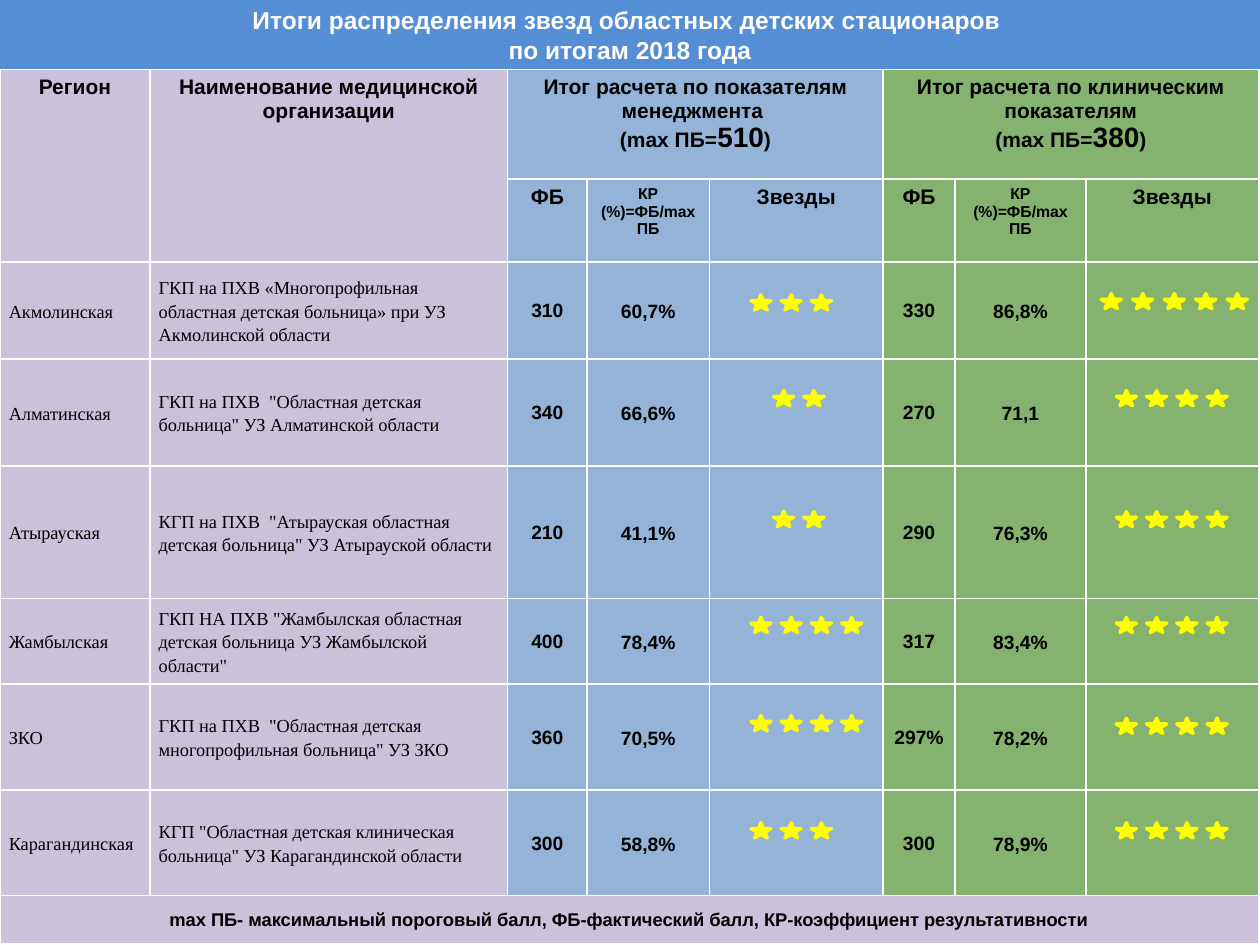
from lxml import etree
from pptx import Presentation
from pptx.dml.color import RGBColor
from pptx.enum.shapes import MSO_SHAPE
from pptx.enum.text import MSO_ANCHOR, PP_ALIGN
from pptx.oxml.ns import qn
from pptx.util import Inches, Pt

STAR = MSO_SHAPE.STAR_5_POINT
LEFT, MID = PP_ALIGN.LEFT, PP_ALIGN.CENTER
TOP, CENTER = MSO_ANCHOR.TOP, MSO_ANCHOR.MIDDLE

COLORS = {
    "title": "558ED5", "lilac": "CCC1DA", "blue": "95B3D7", "green": "85B26E",
    "star": "FFFF00", "white": "FFFFFF", "black": "000000",
}
SANS, SERIF = "Arial", "Times New Roman"

# Cell insets: left, top, right, bottom
WIDE = (0.1, 0.05, 0.1, 0.05)
SIDE = (0.07, 0, 0.07, 0)
THIN = (0.01, 0.01, 0.01, 0)

COLS = [1.19, 2.84, 0.63, 0.97, 1.38, 0.57, 1.04, 1.37]
ROWS = [0.87, 0.66, 0.77, 0.85, 1.05, 0.68, 0.84, 0.84, 0.38]
TINTS = ["lilac"] * 2 + ["blue"] * 3 + ["green"] * 3

# Region, hospital, then score and ratio for management and for clinic
DATA = [
    ("Акмолинская", "ГКП на ПХВ «Многопрофильная областная детская больница» "
     "при УЗ Акмолинской области", "310", "60,7%", "330", "86,8%"),
    ("Алматинская", 'ГКП на ПХВ  "Областная детская больница" УЗ Алматинской области',
     "340", "66,6%", "270", "71,1"),
    ("Атырауская", 'КГП на ПХВ  "Атырауская областная детская больница" '
     "УЗ Атырауской области", "210", "41,1%", "290", "76,3%"),
    ("Жамбылская", 'ГКП НА ПХВ "Жамбылская областная детская больница '
     'УЗ Жамбылской области"', "400", "78,4%", "317", "83,4%"),
    ("ЗКО", 'ГКП на ПХВ  "Областная детская многопрофильная больница" УЗ ЗКО',
     "360", "70,5%", "297%", "78,2%"),
    ("Карагандинская", 'КГП "Областная детская клиническая больница" '
     "УЗ Карагандинской области", "300", "58,8%", "300", "78,9%"),
]

# Star rows: left, top, count
RATINGS = [
    (5.96, 2.34, 3), (8.74, 2.33, 5),
    (6.14, 3.1, 2), (8.86, 3.1, 4),
    (6.14, 4.06, 2), (8.86, 4.06, 4),
    (5.96, 4.9, 4), (8.86, 4.9, 4),
    (5.96, 5.68, 4), (8.86, 5.7, 4),
    (5.96, 6.53, 3), (8.86, 6.53, 4),
]


def tone(name):
    return RGBColor.from_string(COLORS[name])


class Deck:
    """Holds the presentation, the current slide and its style."""

    def __init__(self):
        self.prs = Presentation()
        self.prs.slide_width, self.prs.slide_height = Inches(10), Inches(7.5)
        self.slide = self.prs.slides.add_slide(self.prs.slide_layouts[5])

    def run(self, para, text, size, font=SANS, bold=True, color="black"):
        run = para.add_run()
        run.text = text
        run.font.size, run.font.name, run.font.bold = Pt(size), font, bold
        run.font.color.rgb = tone(color)

    def title(self, lines, size):
        box = self.slide.shapes.title
        box.left, box.top, box.width, box.height = map(Inches, (0, 0, 10, 0.55))
        box.fill.solid()
        box.fill.fore_color.rgb = tone("title")
        box.text_frame.vertical_anchor = CENTER
        para = box.text_frame.paragraphs[0]
        para.alignment = MID
        for i, line in enumerate(lines):
            if i:
                para.add_line_break()
            self.run(para, line, size, color="white")

    def table(self, top):
        frame = self.slide.shapes.add_table(
            len(ROWS), len(COLS), 0, Inches(top), Inches(10), Inches(sum(ROWS)))
        grid = frame.table
        grid.horz_banding = False
        for col, width in zip(grid.columns, COLS):
            col.width = Inches(width)
        for row, height in zip(grid.rows, ROWS):
            row.height = Inches(height)
            for cell, tint in zip(row.cells, TINTS):
                self.edge(cell)
                cell.fill.solid()
                cell.fill.fore_color.rgb = tone(tint)
        return grid

    def edge(self, cell):
        """Draw a thin white border on all four sides."""
        props = cell._tc.get_or_add_tcPr()
        for side in ("lnL", "lnR", "lnT", "lnB"):
            line = etree.SubElement(props, qn("a:" + side), w=str(Pt(1)))
            fill = etree.SubElement(line, qn("a:solidFill"))
            etree.SubElement(fill, qn("a:srgbClr"), val=COLORS["white"])

    def cell(self, cell, paras, align=MID, anchor=TOP, inset=WIDE, space=None, **style):
        """Fill a cell; each paragraph is a list of (text, size) runs."""
        cell.vertical_anchor = anchor
        (cell.margin_left, cell.margin_top,
         cell.margin_right, cell.margin_bottom) = map(Inches, inset)
        frame = cell.text_frame
        for i, runs in enumerate(paras):
            para = frame.add_paragraph() if i else frame.paragraphs[0]
            para.alignment = align
            if space:
                para.line_spacing = space
            for text, size in runs:
                self.run(para, text, size, **style)

    def stars(self, left, top, count):
        group = self.slide.shapes.add_group_shape()
        step = 0.25 if count == 5 else 0.24
        for i in range(count):
            star = group.shapes.add_shape(
                STAR, Inches(left + i * step), Inches(top), Inches(0.16), Inches(0.12))
            star.shadow.inherit = False
            star.fill.solid()
            star.fill.fore_color.rgb = tone("star")
            star.line.color.rgb = tone("star")
            star.line.width = Pt(2)


def head(deck, grid):
    for col, text in enumerate(("Регион", "Наименование медицинской организации")):
        grid.cell(0, col).merge(grid.cell(1, col))
        deck.cell(grid.cell(0, col), [[(text, 12)]])
    parts = [(2, "Итог расчета по показателям менеджмента ", "510"),
             (5, "Итог расчета по клиническим показателям", "380")]
    for col, text, top in parts:
        grid.cell(0, col).merge(grid.cell(0, col + 2))
        deck.cell(grid.cell(0, col),
                  [[(text, 12)], [("(mах ПБ=", 12), (top, 16), (")", 12)]])
        names = [("ФБ", 12), ("КР (%)=ФБ/max ПБ", 9), ("Звезды", 12)]
        for i, name in enumerate(names):
            deck.cell(grid.cell(1, col + i), [[name]])


def body(deck, grid):
    for row, (area, clinic, *marks) in enumerate(DATA, 2):
        for col, text in enumerate((area, clinic)):
            deck.cell(grid.cell(row, col), [[(text, 10.5)]], LEFT, CENTER, SIDE, 1.15,
                      font=SERIF, bold=False)
        for col, text in zip((2, 3, 5, 6), marks):
            inset, space = (THIN, None) if col in (2, 5) else (SIDE, 1.15)
            deck.cell(grid.cell(row, col), [[(text, 11)]], MID, CENTER, inset, space)


def main():
    deck = Deck()
    deck.title(["Итоги распределения звезд областных детских стационаров ",
                "по итогам 2018 года"], 14)
    grid = deck.table(0.55)
    head(deck, grid)
    body(deck, grid)
    last = len(ROWS) - 1
    grid.cell(last, 0).merge(grid.cell(last, len(COLS) - 1))
    deck.cell(grid.cell(last, 0), [[(
        "mах ПБ- максимальный пороговый балл, ФБ-фактический балл, "
        "КР-коэффициент результативности", 10.5)]], anchor=CENTER, inset=THIN)
    for rating in RATINGS:
        deck.stars(*rating)
    deck.prs.save("out.pptx")


if __name__ == "__main__":
    main()
